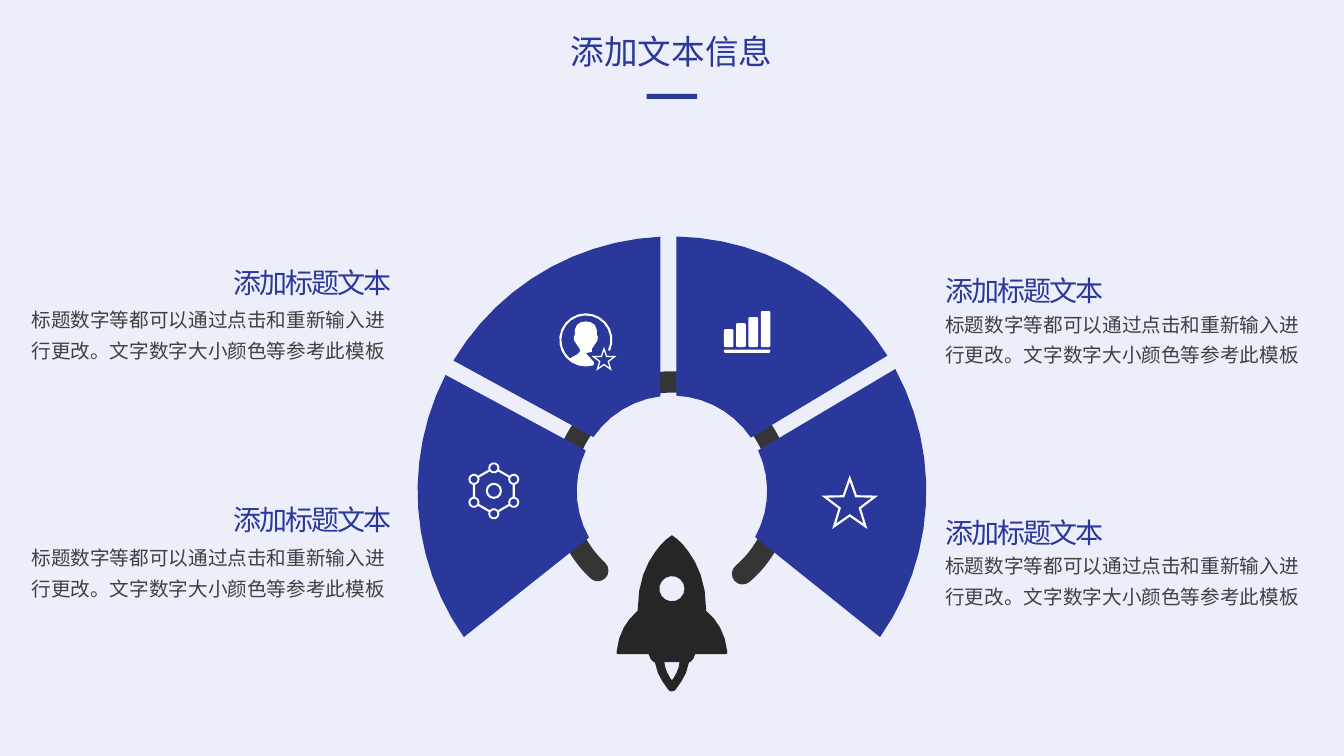
from itertools import chain
from math import acos, ceil, cos, hypot, radians, sin

from lxml.etree import SubElement
from pptx import Presentation
from pptx.dml.color import RGBColor
from pptx.enum.shapes import MSO_SHAPE
from pptx.enum.text import MSO_AUTO_SIZE, PP_ALIGN
from pptx.oxml.ns import qn
from pptx.util import Pt

BLUE = RGBColor(0x2A, 0x38, 0x9C)
PALE = RGBColor(0xEC, 0xEE, 0xFA)
WHITE = RGBColor(0xFF, 0xFF, 0xFF)
BLACK = RGBColor(0x26, 0x26, 0x26)
CHARCOAL = RGBColor(0x35, 0x35, 0x35)
GREY = RGBColor(0x40, 0x40, 0x40)
HEADING = "添加标题文本"
BODY = "标题数字等都可以通过点击和重新输入进行更改。文字数字大小颜色等参考此模板"
HUB = (480, 350.6)
FLATNESS = 0.2


def polar(radius, angle, center=(0, 0)):
    return (center[0] + radius * cos(radians(angle)),
            center[1] + radius * sin(radians(angle)))


def arc(radius, start, end, center=(0, 0)):
    steps = ceil(radians(abs(end - start)) / (2 * acos(1 - FLATNESS / radius)))
    return [polar(radius, start + (end - start) * step / steps, center)
            for step in range(steps + 1)]


def circle(radius, center=(0, 0)):
    return arc(radius, 0, 360, center)[:-1]


def star(radius, center=(0, 0)):
    return [polar(radius * (0.4 if tip % 2 else 1), 36 * tip - 90, center)
            for tip in range(10)]


def rounded(left, top, width, height, radius=1):
    corners = [(left + radius, top + radius, 180),
               (left + width - radius, top + radius, 270),
               (left + width - radius, top + height - radius, 0),
               (left + radius, top + height - radius, 90)]
    return list(chain.from_iterable(
        arc(radius, angle, angle + 90, (x, y)) for x, y, angle in corners))


def strip(start, end, width, trim):
    dx, dy = end[0] - start[0], end[1] - start[1]
    length = hypot(dx, dy)
    dx, dy = dx / length, dy / length
    corners = [(trim, 1), (length - trim, 1), (length - trim, -1), (trim, -1)]
    return [(start[0] + along * dx - side * dy * width / 2,
             start[1] + along * dy + side * dx * width / 2)
            for along, side in corners]


def bezier(a, b, c, d, steps=4):
    points = []
    for step in range(steps + 1):
        t = step / steps
        weights = ((1 - t) ** 3, 3 * t * (1 - t) ** 2, 3 * t * t * (1 - t), t ** 3)
        points.append(tuple(sum(w * p[axis] for w, p in zip(weights, (a, b, c, d)))
                            for axis in (0, 1)))
    return points


def mirrored(half):
    return half + [(-x, y) for x, y in reversed(half)]


class Painter:
    title_font = "Noto Sans CJK JP"
    body_font = "Noto Sans CJK SC"

    def __init__(self, page):
        self.page = page

    def finish(self, shape, color):
        shape.fill.solid()
        shape.fill.fore_color.rgb = color
        shape.line.fill.background()
        shape.shadow.inherit = False

    def bar(self, left, top, width, height, color):
        shape = self.page.shapes.add_shape(
            MSO_SHAPE.RECTANGLE, Pt(left), Pt(top), Pt(width), Pt(height))
        self.finish(shape, color)

    def ring(self, center, radius, start, end, weight, color):
        shape = self.page.shapes.add_shape(
            MSO_SHAPE.ARC, Pt(center[0] - radius), Pt(center[1] - radius),
            Pt(2 * radius), Pt(2 * radius))
        shape.adjustments[0] = start * 0.6
        shape.adjustments[1] = end * 0.6
        shape.fill.background()
        shape.line.color.rgb = color
        shape.line.width = Pt(weight)
        shape.line._get_or_add_ln().set("cap", "rnd")
        shape.shadow.inherit = False

    def outline(self, contours, color, origin=(0, 0)):
        placed = [[(Pt(x + origin[0]), Pt(y + origin[1])) for x, y in contour]
                  for contour in contours]
        builder = self.page.shapes.build_freeform(*placed[0][0])
        for index, contour in enumerate(placed):
            if index:
                builder.move_to(*contour[0])
            builder.add_line_segments(contour[1:], close=True)
        self.finish(builder.convert_to_shape(), color)

    def text(self, shapes, words, left, top, width, height, size, font, color,
             align=PP_ALIGN.LEFT, line_spacing=None, tracking=None):
        box = shapes.add_textbox(Pt(left), Pt(top), Pt(width), Pt(height))
        frame = box.text_frame
        frame.word_wrap = True
        frame.auto_size = MSO_AUTO_SIZE.SHAPE_TO_FIT_TEXT
        para = frame.paragraphs[0]
        para.text = words
        para.alignment = align
        para.line_spacing = line_spacing
        para.font.size = Pt(size)
        para.font.color.rgb = color
        para.font.name = font
        defaults = para._p.get_or_add_pPr().get_or_add_defRPr()
        SubElement(defaults, qn("a:ea")).set("typeface", font)
        if tracking:
            defaults.set("spc", str(int(tracking * 100)))

    def label(self, heading_left, heading_top, body_left, body_top, align):
        shapes = self.page.shapes.add_group_shape().shapes
        self.text(shapes, BODY, body_left, body_top, 270.7, 49.7, 14,
                  self.body_font, GREY, align, 1.3)
        self.text(shapes, HEADING, heading_left, heading_top, 163.4, 34.6, 20,
                  self.title_font, BLUE, line_spacing=1.2, tracking=-1.5)


def rocket():
    curves = [
        ((0, 382.3), (0.7, 383), (6.5, 385.9), (12.2, 394.6)),
        ((12.2, 394.6), (18, 402.5), (24.5, 415.4), (24.5, 436.3)),
        ((26, 437.8), (31.7, 442.8), (38.2, 451.4), (39.6, 465.8)),
    ]
    hull = list(chain.from_iterable(bezier(*curve) for curve in curves))
    hull += [(39.2, 467), (37.4, 467.3), (16.6, 467.3), (15.2, 470.7), (13, 473)]
    hull += bezier((12.2, 473), (10.8, 483.8), (2.2, 492.5), (2.2, 493.2))
    hull.append((0, 493.9))
    flame = bezier((5.4, 473), (5.2, 478), (2.2, 483), (0, 486))
    return [mirrored(hull), circle(9, (0, 420.5)), mirrored(flame)]


def member():
    face = [(4.3, 8.6), (4.3, 6.5), (6.7, 2.9), (8.3, 0.5), (8.6, -2.2),
            (7.9, -3.6), (7.9, -7.2), (6.3, -10.8), (3.6, -12.6), (0, -13.2)]
    badge = (13, 14.4)
    person = (arc(19, 24, -287) + [(5.8, 15.8), (0, 9.4)] + mirrored(face)
              + [(-5.8, 10.1)] + arc(17.5, 131, 385))
    return [person, star(9.4, badge), star(6.6, badge)]


def molecule():
    nodes = [polar(16.4, 60 * index - 90) for index in range(6)]
    contours = [circle(5.8), circle(4.3)]
    for node, following in zip(nodes, nodes[1:] + nodes[:1]):
        contours += [circle(4, node), circle(2.65, node),
                     strip(node, following, 1.5, 3.9)]
    return contours


def main():
    deck = Presentation()
    deck.slide_width, deck.slide_height = Pt(960), Pt(540)
    page = deck.slides.add_slide(deck.slide_layouts[6])
    page.background.fill.solid()
    page.background.fill.fore_color.rgb = PALE
    painter = Painter(page)

    painter.text(page.shapes, "添加文本信息", 394.6, 18.7, 170, 36, 24,
                 painter.title_font, BLUE, PP_ALIGN.CENTER)
    painter.bar(462, 67, 36, 3.6, BLUE)
    painter.outline(rocket(), BLACK, (480, 0))
    painter.ring(HUB, 77.8, 132.92, 49.63, 15.25, CHARCOAL)

    wedges = [(144.9, 207.1, 205.1, 150.6), (210.8, 267.4, 263, 214.4),
              (271, 327.9, 326, 272.7), (331.4, 395.1, 389.1, 334.9)]
    painter.outline([arc(181.7, *wedge[:2]) + arc(68, *wedge[2:])
                     for wedge in wedges], BLUE, HUB)

    bars = [rounded(8.8 * i, -12.8 - 4.3 * i, 6.9, 12.8 + 4.3 * i) for i in range(4)]
    painter.outline([rounded(0, 1.8, 33.2, 2.3)] + bars, WHITE, (517, 247.9))
    painter.outline([star(21.3), star(16.6)], WHITE, (607, 360.6))
    painter.outline(member(), WHITE, (418.5, 242.8))
    painter.outline(molecule(), WHITE, (352.8, 350.6))

    for heading_top, body_top in [(187.2, 214.6), (360, 387.4)]:
        painter.label(668.2, heading_top, 668.2, body_top, PP_ALIGN.LEFT)
    for heading_top, body_top in [(181.4, 211.7), (350.6, 381.6)]:
        painter.label(159.8, heading_top, 11.5, body_top, PP_ALIGN.RIGHT)

    deck.save("out.pptx")


if __name__ == "__main__":
    main()
